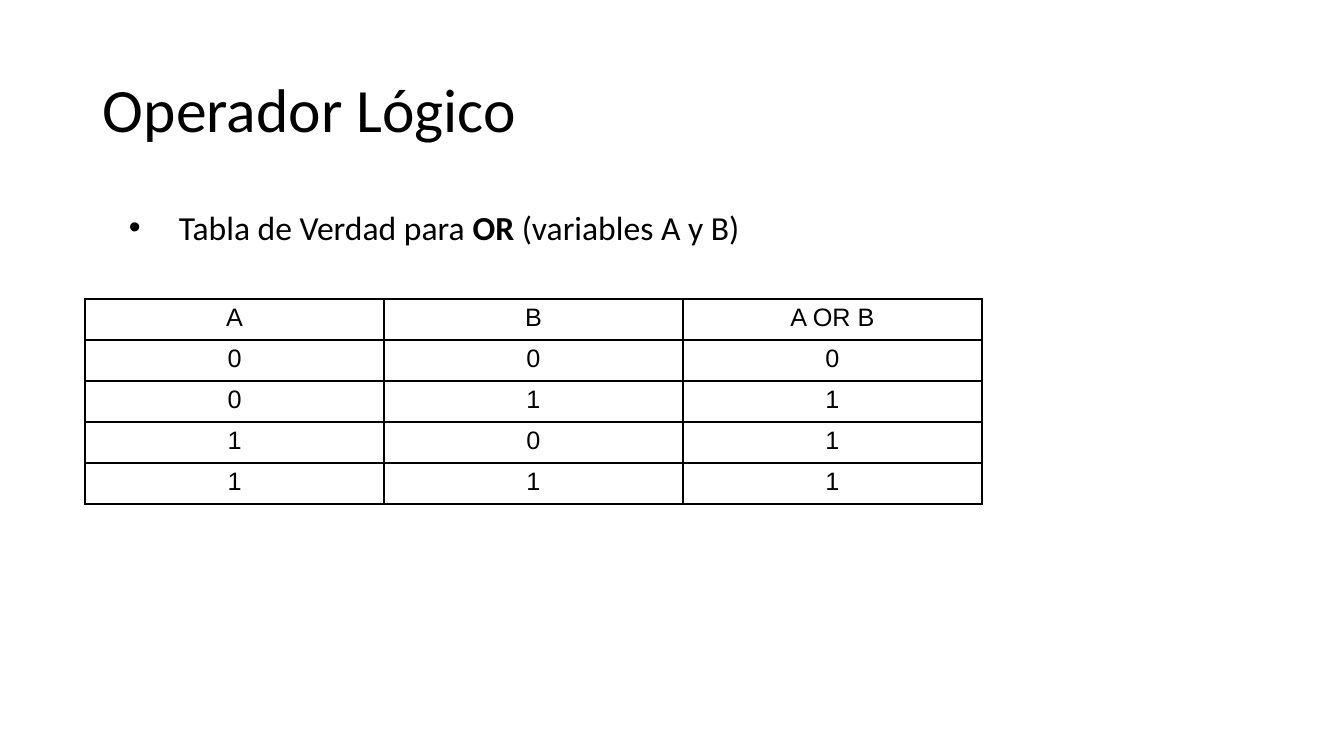
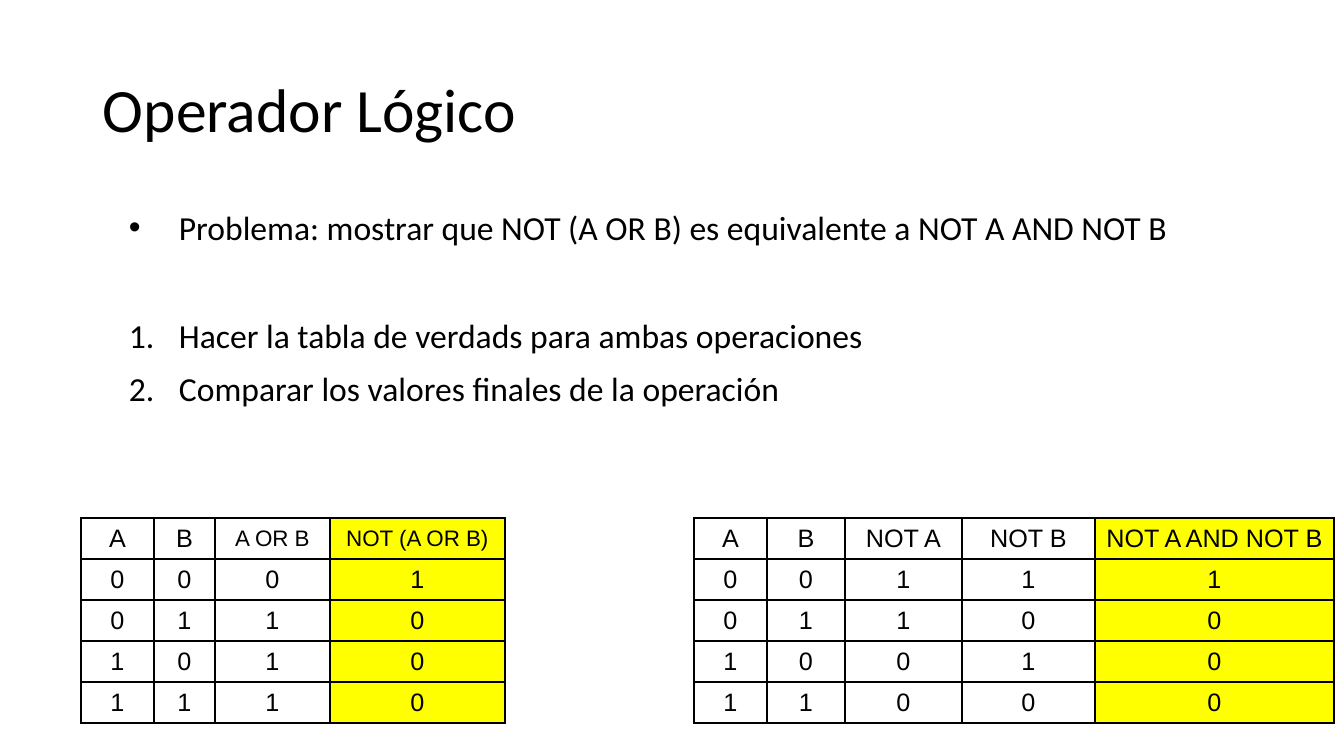
"""Build two slides on the truth tables of logical operators."""
from itertools import product

from lxml import etree
from pptx import Presentation
from pptx.dml.color import RGBColor
from pptx.enum.text import MSO_ANCHOR, PP_ALIGN
from pptx.oxml.ns import qn
from pptx.util import Pt

PX = 914400 / 100.8
BLACK = RGBColor(0x00, 0x00, 0x00)
YELLOW = RGBColor(0xFF, 0xFF, 0x00)
TOP, MIDDLE = MSO_ANCHOR.TOP, MSO_ANCHOR.MIDDLE
LEFT, CENTER = PP_ALIGN.LEFT, PP_ALIGN.CENTER
CONTENT_LEFT, CONTENT_WIDTH = 93, 1159
ROW_HEIGHT = 41
INDENT, HANGING = 76, 50


def px(n):
    return round(n * PX)


def write(p, text, size=24, font="Calibri", align=LEFT, spacing=1.0, before=0, bullet=None):
    if bullet:
        pPr = p._p.get_or_add_pPr()
        pPr.set("marL", str(px(INDENT)))
        pPr.set("indent", str(-px(HANGING)))
        if bullet == "•":
            etree.SubElement(pPr, qn("a:buFont"), typeface="Arial")
            etree.SubElement(pPr, qn("a:buChar"), char=bullet)
        else:
            etree.SubElement(pPr, qn("a:buFont"), typeface="+mj-lt")
            etree.SubElement(pPr, qn("a:buAutoNum"), type=bullet)
    p.alignment = align
    p.line_spacing = spacing
    p.space_before = Pt(before)
    for i, part in enumerate(text.split("**")):
        r = p.add_run()
        r.text = part
        r.font.size, r.font.name = Pt(size), font
        r.font.bold = i % 2 == 1
        r.font.color.rgb = BLACK


SLIDES = [
    dict(
        body_height=480,
        items=[("Tabla de Verdad para **OR **(variables A y B)", "•", 0)],
        tables=[
            dict(left=85, top=299, widths=[299] * 3, anchor=TOP, marked=None,
                 heads=[("A", 18), ("B", 18), ("A OR B", 18)],
                 values=lambda a, b: (a, b, a | b)),
        ],
    ),
    dict(
        body_height=514,
        items=[
            ("Problema: mostrar que NOT (A OR B) es equivalente a NOT A AND NOT B", "•", 0),
            ("Hacer la tabla de verdads para ambas operaciones", "arabicPeriod", 48),
            ("Comparar los valores finales de la operación", "arabicPeriod", 9.5),
        ],
        tables=[
            dict(left=694, top=518, widths=[73, 78, 117, 133, 239], anchor=MIDDLE, marked=4,
                 heads=[("A", 18), ("B", 18), ("NOT A", 18), ("NOT B", 18),
                        ("NOT A AND NOT B", 18)],
                 values=lambda a, b: (a, b, 1 - a, 1 - b, (1 - a) & (1 - b))),
            dict(left=81, top=518, widths=[73, 61, 115, 175], anchor=MIDDLE, marked=3,
                 heads=[("A", 18), ("B", 18), ("A OR B", 16), ("NOT (A OR B)", 16)],
                 values=lambda a, b: (a, b, a | b, 1 - (a | b))),
        ],
    ),
]

prs = Presentation()
prs.slide_width, prs.slide_height = px(1344), px(756)

for content in SLIDES:
    s = prs.slides.add_slide(prs.slide_layouts[6])

    title = s.shapes.add_textbox(px(CONTENT_LEFT), px(40), px(CONTENT_WIDTH), px(146))
    tf = title.text_frame
    tf.word_wrap = True
    tf.vertical_anchor = MIDDLE
    write(tf.paragraphs[0], "Operador Lógico", size=44, spacing=0.9)

    body = s.shapes.add_textbox(px(CONTENT_LEFT), px(202), px(CONTENT_WIDTH),
                                px(content["body_height"]))
    tf = body.text_frame
    tf.word_wrap = True
    for i, (text, bullet, before) in enumerate(content["items"]):
        p = tf.add_paragraph() if i else tf.paragraphs[0]
        write(p, text, bullet=bullet, before=before)

    for t in content["tables"]:
        rows = [t["heads"]]
        for a, b in product((0, 1), repeat=2):
            rows.append([(str(v), 18) for v in t["values"](a, b)])
        table = s.shapes.add_table(len(rows), len(t["widths"]), px(t["left"]), px(t["top"]),
                                   px(sum(t["widths"])), px(ROW_HEIGHT * len(rows))).table
        table.first_row = table.horz_banding = False
        for column, width in zip(table.columns, t["widths"]):
            column.width = px(width)
        for i, row in enumerate(rows):
            table.rows[i].height = px(ROW_HEIGHT)
            for j, (text, size) in enumerate(row):
                cell = table.cell(i, j)
                cell.vertical_anchor = t["anchor"]
                write(cell.text_frame.paragraphs[0], text, size=size, font="Arial", align=CENTER)
                if j == t["marked"]:
                    cell.fill.solid()
                    cell.fill.fore_color.rgb = YELLOW
                else:
                    cell.fill.background()
                tcPr = cell._tc.get_or_add_tcPr()
                for k, side in enumerate(("lnL", "lnR", "lnT", "lnB")):
                    ln = etree.Element(qn("a:" + side), w=str(Pt(1)))
                    fill = etree.SubElement(ln, qn("a:solidFill"))
                    etree.SubElement(fill, qn("a:srgbClr"), val=str(BLACK))
                    tcPr.insert(k, ln)

prs.save("out.pptx")
